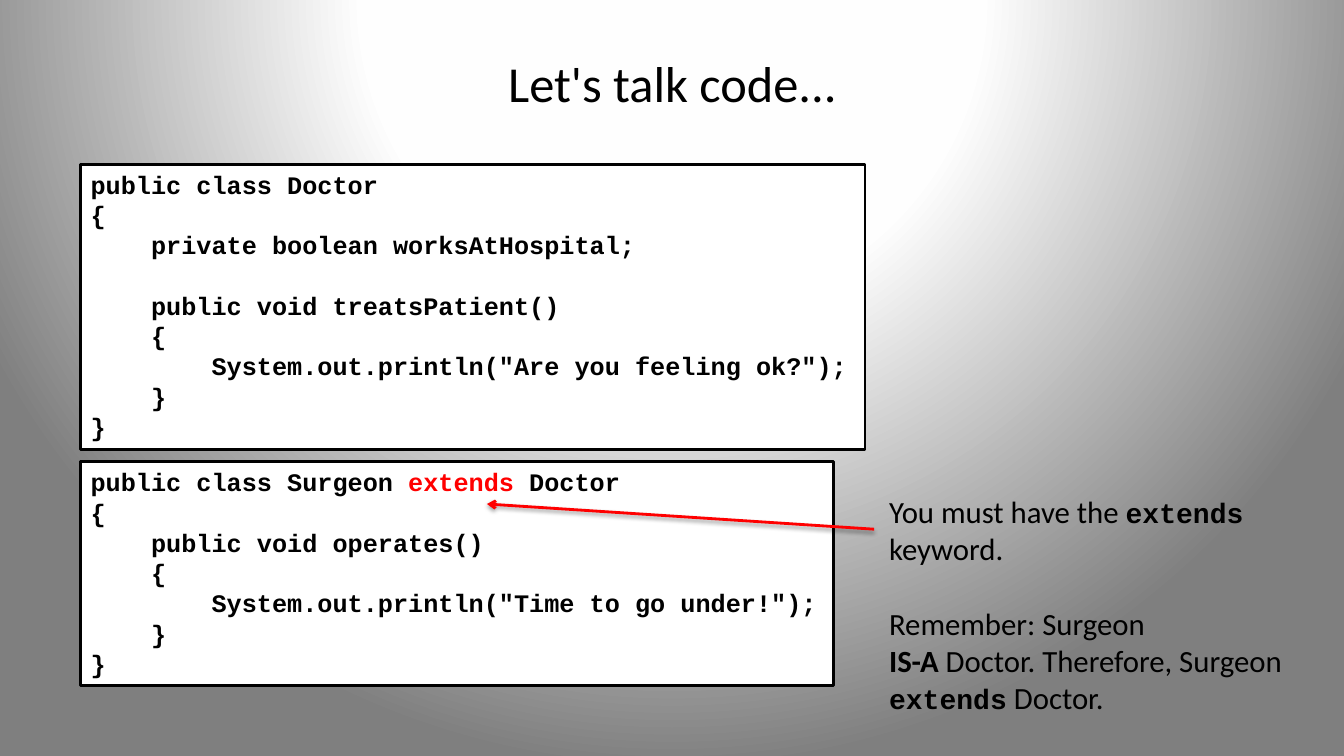
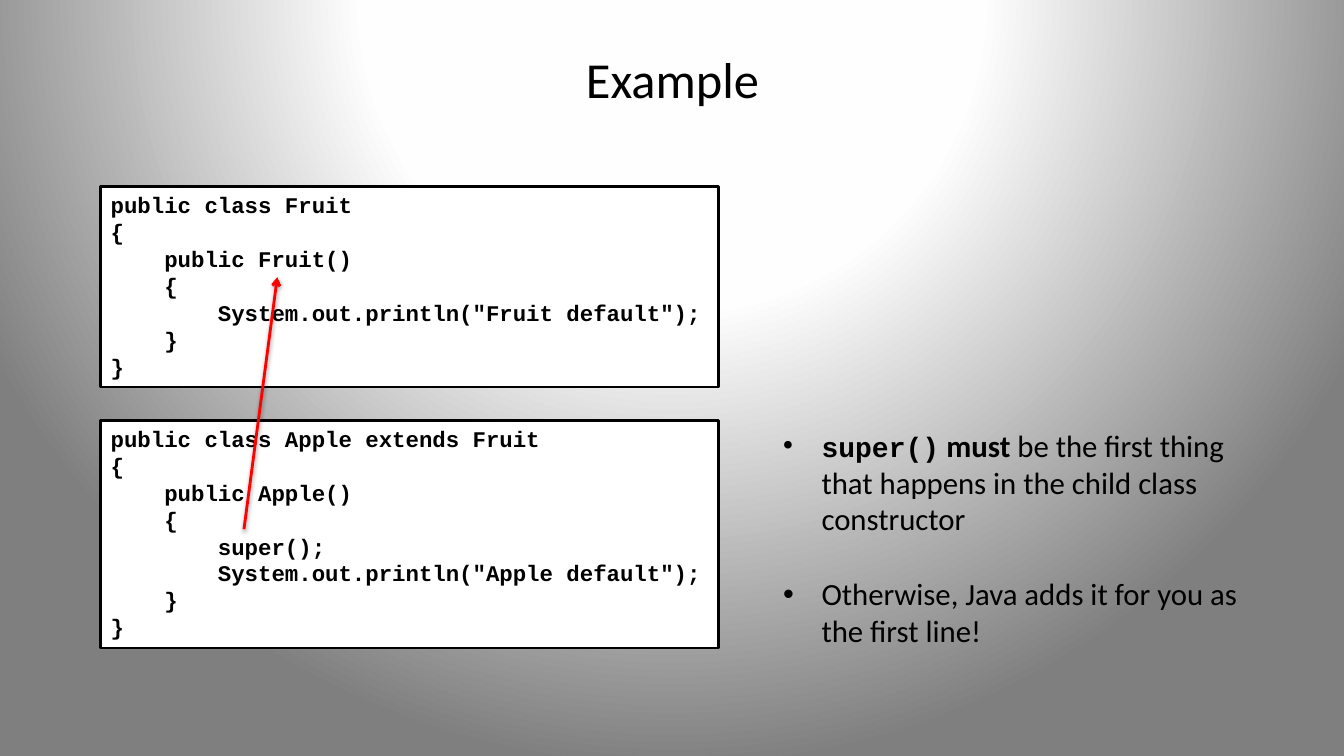
from lxml import etree
from pptx import Presentation
from pptx.dml.color import RGBColor
from pptx.enum.shapes import MSO_CONNECTOR as Connector
from pptx.enum.text import MSO_ANCHOR as Anchor, MSO_AUTO_SIZE as AutoSize, PP_ALIGN as Align
from pptx.oxml import parse_xml
from pptx.oxml.ns import nsdecls, qn
from pptx.util import Inches, Pt

BLACK, WHITE, RED = "000000", "FFFFFF", "FF0000"
BODY_FONT, CODE_FONT = "Calibri", "Courier New"
TITLE_SIZE, BODY_SIZE, KEYWORD_SIZE = 36, 22, 20
GRADIENT = [(0, WHITE), (40, "FEFEFE"), (100, "7F7F7F")]
TITLE_ONLY = 5

BODY = (BODY_FONT, BODY_SIZE, False)
STRONG = (BODY_FONT, BODY_SIZE, True)
KEYWORD = (CODE_FONT, KEYWORD_SIZE, True)

DOCTOR = """public class Doctor
{
    private boolean worksAtHospital;
    
    public void treatsPatient()
    {
        System.out.println("Are you feeling ok?");
    }
}"""

SURGEON = """public class Surgeon extends Doctor
{
    public void operates()
    {
        System.out.println("Time to go under!");
    }
}"""

FRUIT = """public class Fruit
{
    public Fruit()
    {
        System.out.println("Fruit default");
    }
}"""

APPLE = """public class Apple extends Fruit
{
    public Apple()
    {
        super();
        System.out.println("Apple default");
    }
}"""


def color(value):
    return RGBColor.from_string(value)


def set_background(master):
    stops = "".join(
        f'<a:gs pos="{pos * 1000}"><a:srgbClr val="{value}"/></a:gs>'
        for pos, value in GRADIENT
    )
    background = parse_xml(
        f'<p:bg {nsdecls("p", "a")}><p:bgPr><a:gradFill rotWithShape="1">'
        f'<a:gsLst>{stops}</a:gsLst><a:path path="circle">'
        '<a:fillToRect l="50000" t="-80000" r="50000" b="180000"/></a:path>'
        '</a:gradFill><a:effectLst/></p:bgPr></p:bg>'
    )
    content = master.element.find(qn("p:cSld"))
    inherited = content.find(qn("p:bg"))
    if inherited is not None:
        content.remove(inherited)
    content.insert(0, background)


def add_run(paragraph, text, style, ink=BLACK):
    run = paragraph.add_run()
    run.text = text
    run.font.name, size, run.font.bold = style
    run.font.size = Pt(size)
    run.font.color.rgb = color(ink)


def add_titled_slide(deck, text, height):
    slide = deck.slides.add_slide(deck.slide_layouts[TITLE_ONLY])
    title = slide.shapes.title
    title.left, title.top = Inches(0.67), Inches(0.3)
    title.width, title.height = Inches(12), Inches(height)
    title.text_frame.vertical_anchor = Anchor.MIDDLE
    paragraph = title.text_frame.paragraphs[0]
    paragraph.alignment = Align.CENTER
    add_run(paragraph, text, (BODY_FONT, TITLE_SIZE, False))
    return slide


def add_text_area(slide, box, wrap):
    area = slide.shapes.add_textbox(*map(Inches, box))
    area.text_frame.word_wrap = wrap
    area.text_frame.auto_size = AutoSize.SHAPE_TO_FIT_TEXT
    return area


def paragraphs_for(frame, items):
    for index, item in enumerate(items):
        yield (frame.add_paragraph() if index else frame.paragraphs[0]), item


def add_code(slide, box, code, size, highlight=None):
    panel = add_text_area(slide, box, False)
    panel.fill.solid()
    panel.fill.fore_color.rgb = color(WHITE)
    panel.line.color.rgb = color(BLACK)
    panel.line.width = Pt(2)
    style = (CODE_FONT, size, True)
    for paragraph, line in paragraphs_for(panel.text_frame, code.split("\n")):
        before, keyword, after = line.partition(highlight) if highlight else (line, "", "")
        for text, ink in ((before, BLACK), (keyword, RED), (after, BLACK)):
            if text:
                add_run(paragraph, text, style, ink)


def add_bullet(paragraph):
    properties = paragraph._p.get_or_add_pPr()
    indent = Inches(0.38)
    properties.set("marL", str(indent))
    properties.set("indent", str(-indent))
    etree.SubElement(properties, qn("a:buFont")).set("typeface", "Arial")
    etree.SubElement(properties, qn("a:buChar")).set("char", "•")


def add_notes(slide, box, groups, bulleted=False):
    lines = [
        (line, group_index > 0 and line_index == 0)
        for group_index, group in enumerate(groups)
        for line_index, line in enumerate(group)
    ]
    frame = add_text_area(slide, box, True).text_frame
    for paragraph, (line, opens_group) in paragraphs_for(frame, lines):
        if bulleted:
            add_bullet(paragraph)
        if opens_group:
            paragraph.space_before = Pt(27)
        for text, style in line:
            add_run(paragraph, text, style)


def add_pointer(slide, start, end):
    pointer = slide.shapes.add_connector(Connector.STRAIGHT, *map(Inches, start + end))
    pointer.line.color.rgb = color(RED)
    pointer.line.width = Pt(2)
    etree.SubElement(pointer.line._get_or_add_ln(), qn("a:tailEnd")).set("type", "arrow")
    pointer._element.spPr.append(parse_xml(
        f'<a:effectLst {nsdecls("a")}><a:outerShdw blurRad="40000" dist="20000" '
        f'dir="5400000" rotWithShape="0"><a:srgbClr val="{BLACK}">'
        '<a:alpha val="38000"/></a:srgbClr></a:outerShdw></a:effectLst>'
    ))


def build_extends_slide(deck):
    slide = add_titled_slide(deck, "Let's talk code...", 1.03)
    add_code(slide, (0.8, 1.63, 7.78, 2.83), DOCTOR, 18)
    add_code(slide, (0.8, 4.58, 7.47, 2.22), SURGEON, 18, "extends")
    add_notes(slide, (8.72, 4.84, 4.2, 2.32), [
        [
            [("You must have the ", BODY), ("extends", KEYWORD)],
            [("keyword.", BODY)],
        ],
        [
            [("Remember: Surgeon", BODY)],
            [("IS-A", STRONG), (" Doctor. Therefore, Surgeon", BODY)],
            [("extends", KEYWORD), (" Doctor.", BODY)],
        ],
    ])
    add_pointer(slide, (8.67, 5.25), (4.83, 5))


def build_super_slide(deck):
    slide = add_titled_slide(deck, "Example", 0.95)
    add_code(slide, (1, 1.85, 6.13, 1.99), FRUIT, 16)
    add_code(slide, (1, 4.17, 6.13, 2.26), APPLE, 16)
    add_notes(slide, (7.67, 4.18, 5, 2.32), [
        [[
            ("super()", KEYWORD),
            (" ", BODY),
            ("must", STRONG),
            (" be the first thing that happens in the child class constructor", BODY),
        ]],
        [[("Otherwise, Java adds it for you as the first line!", BODY)]],
    ], bulleted=True)
    add_pointer(slide, (2.42, 5.25), (2.75, 2.75))


def main():
    deck = Presentation()
    deck.slide_width, deck.slide_height = Inches(13.33), Inches(7.5)
    set_background(deck.slide_master)
    build_extends_slide(deck)
    build_super_slide(deck)
    deck.save("out.pptx")


if __name__ == "__main__":
    main()
